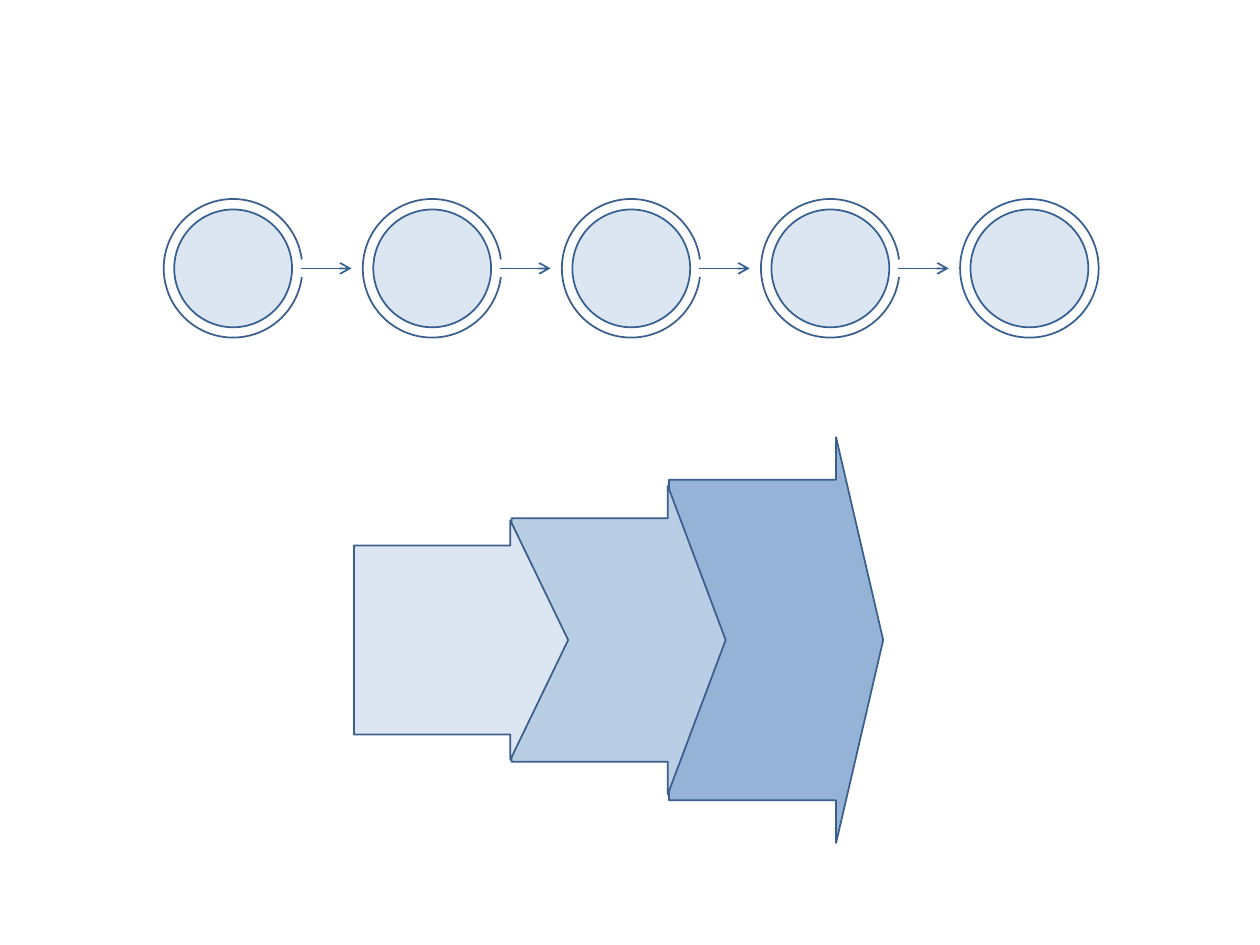
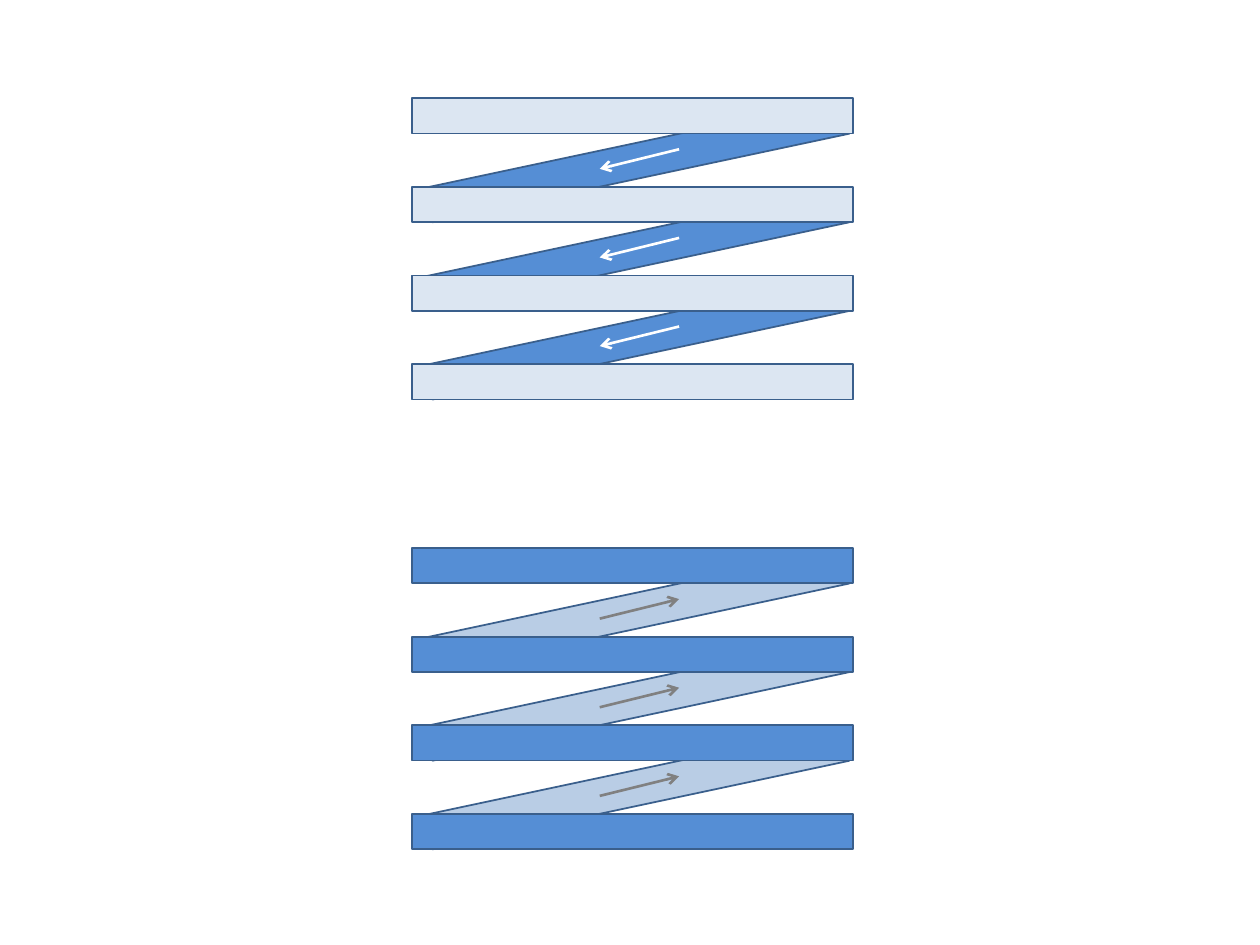
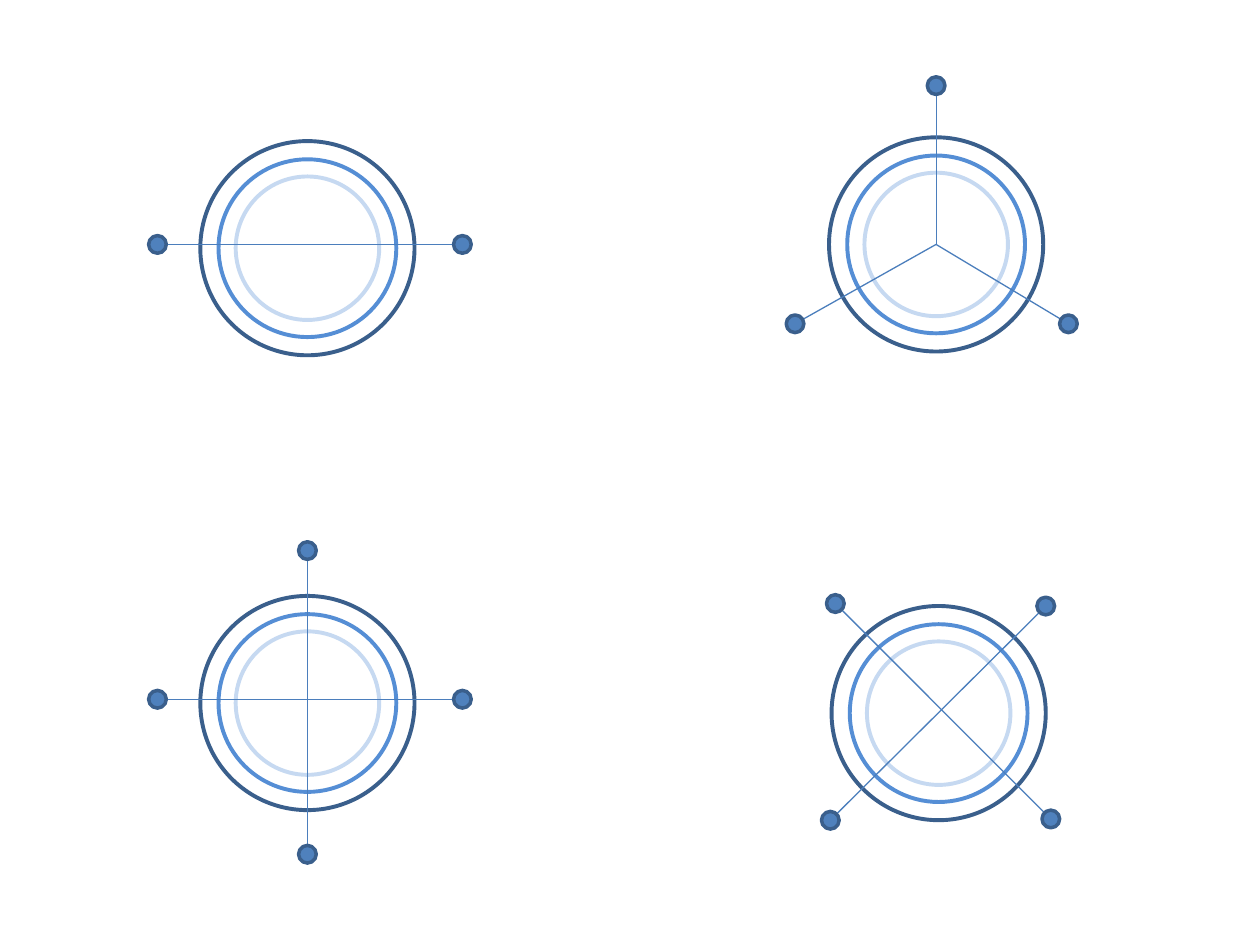
import pptx
import pptx.util
import pptx.dml.color
import pptx.enum.shapes
import pptx.oxml

KIND = pptx.enum.shapes.MSO_SHAPE
WIDE, HIGH = pptx.util.Inches(10), pptx.util.Inches(7.5)
COLS = 100
CELL = WIDE // COLS

EDGE, NAVY, BLUE, KNOB, CORD = "3A5F8C", "376092", "558ED5", "4F81BD", "4B7EBC"
PALE, LIGHT, SOFT, MIST = "DCE6F2", "B9CDE5", "95B3D7", "C6D9F1"
WHITE, GREY = "FFFFFF", "808080"
HUB = (0, 0)


def emu(*cells):
    """Turn grid cells into slide lengths."""
    return [round(cell * CELL) for cell in cells]


def tint(text):
    """Turn a hex string into a colour."""
    return pptx.dml.color.RGBColor.from_string(text)


def style(shape, fill, line, width=1):
    """Set fill and outline, without a shadow."""
    shape.shadow.inherit = False
    if fill:
        shape.fill.solid()
        shape.fill.fore_color.rgb = tint(fill)
    else:
        shape.fill.background()
    shape.line.color.rgb = tint(line)
    shape.line.width = pptx.util.Pt(width)
    return shape


def add(slide, kind, box, fill, line=EDGE, width=1, adjust=()):
    """Add a preset shape in a grid box."""
    shape = slide.shapes.add_shape(kind, *emu(*box))
    for index, value in enumerate(adjust):
        shape.adjustments[index] = value
    return style(shape, fill, line, width)


def disc(slide, mid, size, fill, line, width=1):
    """Add a circle around a centre."""
    x, y = mid
    box = (x - size / 2, y - size / 2, size, size)
    return add(slide, KIND.OVAL, box, fill, line, width)


def link(slide, start, end, line, width=1, head=False):
    """Add a straight line, with an arrowhead if asked."""
    kind = pptx.enum.shapes.MSO_CONNECTOR.STRAIGHT
    wire = slide.shapes.add_connector(kind, *emu(*start, *end))
    wire.line.color.rgb = tint(line)
    wire.line.width = pptx.util.Pt(width)
    if head:
        tail = pptx.oxml.xmlchemy.OxmlElement("a:tailEnd")
        tail.set("type", "arrow")
        wire.line._get_or_add_ln().append(tail)
    wire._element.spPr.append(pptx.oxml.xmlchemy.OxmlElement("a:effectLst"))


def chain(slide, box, count=5):
    """Draw ringed discs joined by arrows."""
    left, top, width, size = box
    step = (width - size) / (count - 1)
    mid, gap = top + size / 2, 7.3 * 0.6
    for index in range(count):
        x = left + index * step
        disc(slide, (x + size / 2, mid), size * 0.85, PALE, NAVY)
        if index == count - 1:
            disc(slide, (x + size / 2, mid), size, None, NAVY)
        else:
            add(slide, KIND.ARC, (x, top, size, size), None,
                adjust=(gap, 360 * 0.6 - gap))
            link(slide, (x + size - 0.1, mid), (x + size + 3.9, mid),
                 NAVY, head=True)


def stairs(slide, box):
    """Draw growing block arrows on one axis, the tallest at the back."""
    left, top, width, high = box
    size = 17
    step = (width - size) / 2
    rows = [(2, 1, 0.22, SOFT), (1, 0.76, 0.27, LIGHT), (0, 0.59, 0.27, PALE)]
    for place, share, tip, fill in rows:
        tall = high * share
        area = (left + place * step, top + (high - tall) / 2, size, tall)
        add(slide, KIND.RIGHT_ARROW, area, fill, adjust=(0.79, tip))


def coil(slide, box, bar, band, ink, rise=False, count=4):
    """Draw flat bars joined by slanted bands with arrows."""
    left, top, width, high = box
    thick = 2.8
    step = (high - thick) / (count - 1)
    tops = [top + index * step for index in range(count)]
    for y in tops[:-1]:
        area = (left - 0.4, y + 3.7, width + 0.2, thick)
        add(slide, KIND.PENTAGON, area, band).rotation = 168
    for y in tops:
        add(slide, KIND.RECTANGLE, (left, y, width, thick), bar)
    for y in tops[:-1]:
        ends = [(left + 21.2, y + 4.05), (left + 14.9, y + 5.6)]
        if rise:
            ends.reverse()
        link(slide, *ends, ink, 1.5, head=True)


def dial(slide, box, cords):
    """Draw rings crossed by cords that end in knobs."""
    left, top, size, _ = box
    mid = (left + size / 2, top + size / 2)
    for share, line in [(1, EDGE), (0.83, BLUE), (0.67, MIST)]:
        disc(slide, mid, size * share, WHITE, line, 2.25)
    knobs = []
    for cord in cords:
        spots = [(mid[0] + x, mid[1] + y) for x, y in cord]
        if len(cord) == 2:
            link(slide, *spots, CORD, 0.75)
        else:
            path = slide.shapes.build_freeform(*emu(*spots[0]))
            path.add_line_segments([emu(*spot) for spot in spots[1:]], close=False)
            style(path.convert_to_shape(), None, CORD, 0.75)
        knobs += [spots[end] for end in (0, -1) if cord[end] != HUB]
    for knob in knobs:
        disc(slide, knob, 1.4, KNOB, EDGE, 2)


def main():
    """Build the three slides and save them."""
    deck = pptx.Presentation()
    deck.slide_width, deck.slide_height = WIDE, HIGH
    flow, coils, dials = [deck.slides.add_slide(deck.slide_layouts[6])
                          for _ in range(3)]

    chain(flow, (13, 15.8, 74.2, 11))
    stairs(flow, (28.1, 34.7, 42, 32.2))

    coil(coils, (32.7, 7.8, 35, 23.9), PALE, BLUE, WHITE)
    coil(coils, (32.7, 43.5, 35, 23.9), BLUE, LIGHT, GREY, rise=True)

    flat = [(-11.9, -0.3), (12.3, -0.3)]
    tall = [(0, -12.1), (0, 12)]
    down = [(-8.2, -8.7), (8.9, 8.4)]
    up = [(8.5, -8.5), (-8.6, 8.5)]
    legs = [(-11.2, 6.3), HUB, (10.5, 6.3)]
    dial(dials, (15.9, 47.3, 17, 17), [tall, flat])
    dial(dials, (66, 48.1, 17, 17), [up, down])
    dial(dials, (15.9, 11.2, 17, 17), [flat])
    dial(dials, (65.8, 10.9, 17, 17), [[(0, -12.6), HUB], legs])
    deck.save("out.pptx")


if __name__ == "__main__":
    main()
